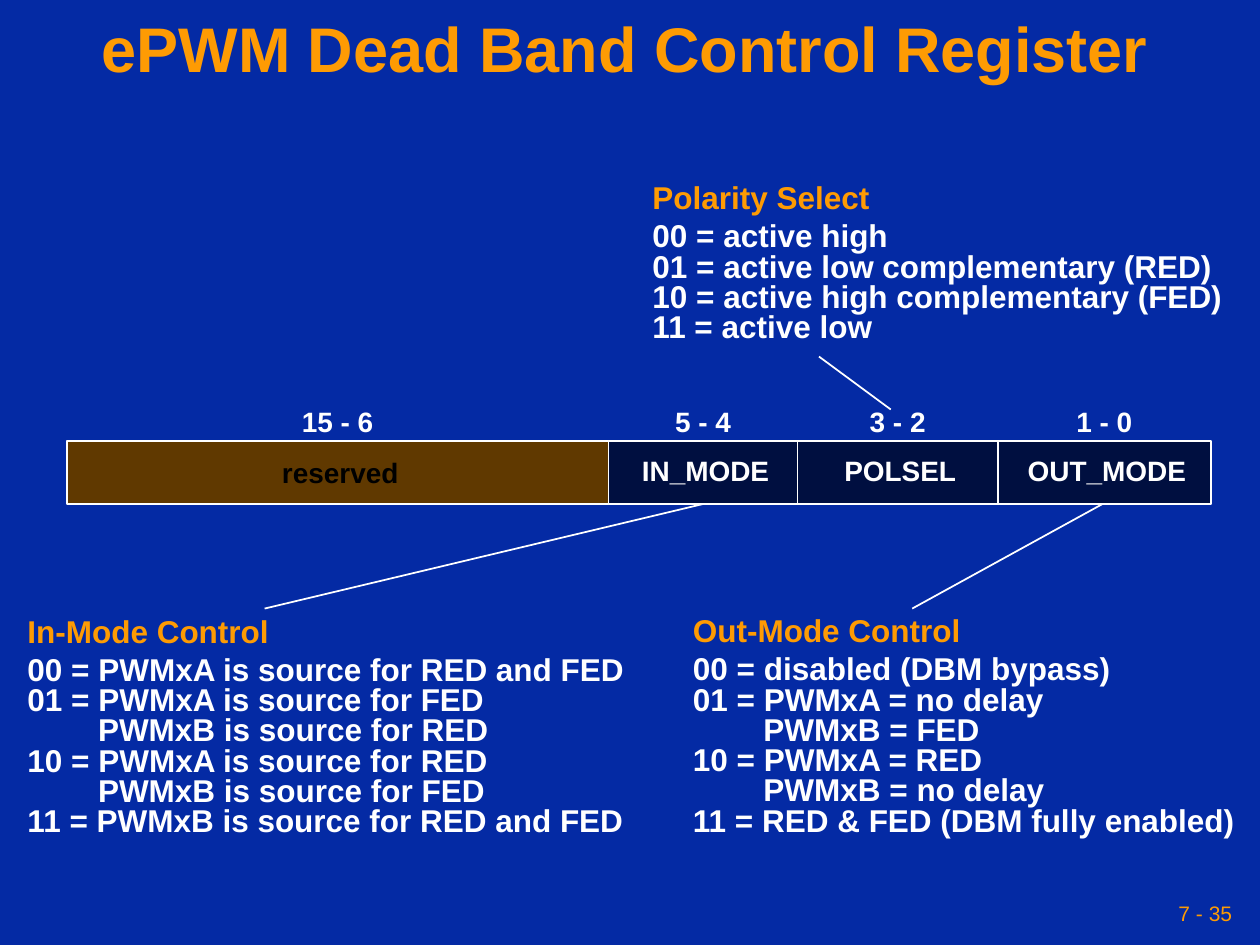
from pptx import Presentation
from pptx.dml.color import RGBColor
from pptx.enum.shapes import MSO_CONNECTOR, MSO_SHAPE
from pptx.enum.text import MSO_ANCHOR as ANCHOR, MSO_AUTO_SIZE as AUTO, PP_ALIGN as ALIGN
from pptx.oxml.ns import qn
from pptx.util import Inches, Pt
from lxml import etree

COLORS = {
    "background": "042AA4",
    "accent": "FE9B03",
    "text": "FFFFFF",
    "field": "000F40",
    "reserved": "603900",
    "reserved_text": "000000",
}
BAR_TOP, BAR_HEIGHT = 3.5, 0.5
EDGES = [0.53, 4.83, 6.33, 7.92, 9.61]
FIELDS = [
    ("15 - 6", 0.76, "reserved", 1.12, 3.62, "reserved_text"),
    ("5 - 4", 0.64, "IN_MODE", 1.21, 3.6, "text"),
    ("3 - 2", 0.64, "POLSEL", 1.08, 3.6, "text"),
    ("1 - 0", 0.64, "OUT_MODE", 1.45, 3.6, "text"),
]
POLARITY = [
    "00 = active high",
    "01 = active low complementary (RED)",
    "10 = active high complementary (FED)",
    "11 = active low",
]
OUT_MODE = [
    "00 = disabled (DBM bypass)",
    "01 = PWMxA = no delay",
    "PWMxB = FED",
    "10 = PWMxA = RED",
    "PWMxB = no delay",
    "11 = RED & FED (DBM fully enabled)",
]
IN_MODE = [
    "00 = PWMxA is source for RED and FED",
    "01 = PWMxA is source for FED",
    "PWMxB is source for RED",
    "10 = PWMxA is source for RED",
    "PWMxB is source for FED",
    "11 = PWMxB is source for RED and FED",
]
LEADERS = [
    (7.24, 4.83, 8.75, 4),
    (6.5, 2.83, 7.07, 3.25),
    (2.1, 4.83, 5.58, 4),
]


class RegisterSlide:
    font = "Arial"
    line_width = Pt(1)
    continuation = Inches(0.56)

    def __init__(self, prs):
        self.s = prs.slides.add_slide(prs.slide_layouts[5])
        self.fill(self.s.background.fill, "background")

    def fill(self, fill, color):
        fill.solid()
        fill.fore_color.rgb = RGBColor.from_string(COLORS[color])

    def frame(self, sp, inset_x=0.1, inset_y=0.05, anchor=ANCHOR.TOP, wrap=False):
        tf = sp.text_frame
        tf.auto_size = AUTO.NONE
        tf.word_wrap = wrap
        tf.vertical_anchor = anchor
        tf.margin_left = tf.margin_right = Inches(inset_x)
        tf.margin_top = tf.margin_bottom = Inches(inset_y)
        return tf

    def format(self, p, size, color, bold=True, align=ALIGN.LEFT, spacing=0.8):
        p.alignment = align
        p.line_spacing = spacing
        for r in p.runs:
            r.font.name = self.font
            r.font.size = Pt(size)
            r.font.bold = bold
            r.font.color.rgb = RGBColor.from_string(COLORS[color])

    def title(self, text):
        sp = self.s.shapes.title
        sp.left, sp.top, sp.width, sp.height = map(Inches, (0, 0, 9.92, 0.83))
        tf = self.frame(sp, 0.05, anchor=ANCHOR.MIDDLE, wrap=True)
        tf.text = text
        self.format(tf.paragraphs[0], 36, "accent", align=ALIGN.CENTER, spacing=0.9)

    def page_number(self, text):
        sp = self.s.shapes.add_textbox(*map(Inches, (6.83, 7.08, 3, 0.33)))
        tf = self.frame(sp, 0.05, anchor=ANCHOR.MIDDLE, wrap=True)
        tf.text = text
        self.format(tf.paragraphs[0], 12, "accent", False, ALIGN.RIGHT, 1.0)

    def label(self, text, center, top, width, color="text"):
        sp = self.s.shapes.add_textbox(*map(Inches, (center - width / 2, top, width, 0.32)))
        tf = self.frame(sp)
        tf.text = text
        self.format(tf.paragraphs[0], 16, color, align=ALIGN.CENTER)

    def legend(self, heading, lines, box, inset_x=0.1, inset_y=0.05):
        sp = self.s.shapes.add_textbox(*map(Inches, box))
        tf = self.frame(sp, inset_x, inset_y, ANCHOR.MIDDLE)
        tf.text = "\n".join([heading] + lines)
        for p in tf.paragraphs:
            if p.text.startswith("PWM"):
                p._p.get_or_add_pPr().set("marL", str(self.continuation))
            self.format(p, 18, "text")
        self.format(tf.paragraphs[0], 18, "accent")
        tf.paragraphs[0].space_after = Pt(4.5)

    def bar(self, left, right, color):
        box = (left, BAR_TOP, right - left, BAR_HEIGHT)
        sp = self.s.shapes.add_shape(MSO_SHAPE.RECTANGLE, *map(Inches, box))
        sp.shadow.inherit = False
        self.fill(sp.fill, color)
        self.fill(sp.line.fill, "text")
        sp.line.width = self.line_width

    def line(self, *ends):
        sp = self.s.shapes.add_connector(MSO_CONNECTOR.STRAIGHT, *map(Inches, ends))
        self.fill(sp.line.fill, "text")
        sp.line.width = self.line_width
        etree.SubElement(sp._element.spPr, qn("a:effectLst"))


def main():
    prs = Presentation()
    prs.slide_width, prs.slide_height = Inches(10), Inches(7.5)
    slide = RegisterSlide(prs)
    slide.title("ePWM Dead Band Control Register")
    slide.page_number("7 - 35")
    slide.legend("Polarity Select", POLARITY, (5.08, 1.42, 4.72, 1.37))
    slide.legend("Out-Mode Control", OUT_MODE, (5.5, 4.91, 4.4, 1.74), 0, 0)
    slide.legend("In-Mode Control", IN_MODE, (0.12, 4.86, 4.94, 1.85))

    slide.bar(EDGES[1], EDGES[-1], "field")
    slide.bar(EDGES[0], EDGES[1], "reserved")
    for x in EDGES[2:-1]:
        slide.line(x, BAR_TOP, x, BAR_TOP + BAR_HEIGHT)
    for left, right, field in zip(EDGES, EDGES[1:], FIELDS):
        bits, bits_width, name, name_width, name_top, color = field
        center = (left + right) / 2
        slide.label(bits, center, 3.21, bits_width)
        slide.label(name, center + 0.02, name_top, name_width, color)
    for ends in LEADERS:
        slide.line(*ends)
    prs.save("out.pptx")


if __name__ == "__main__":
    main()
